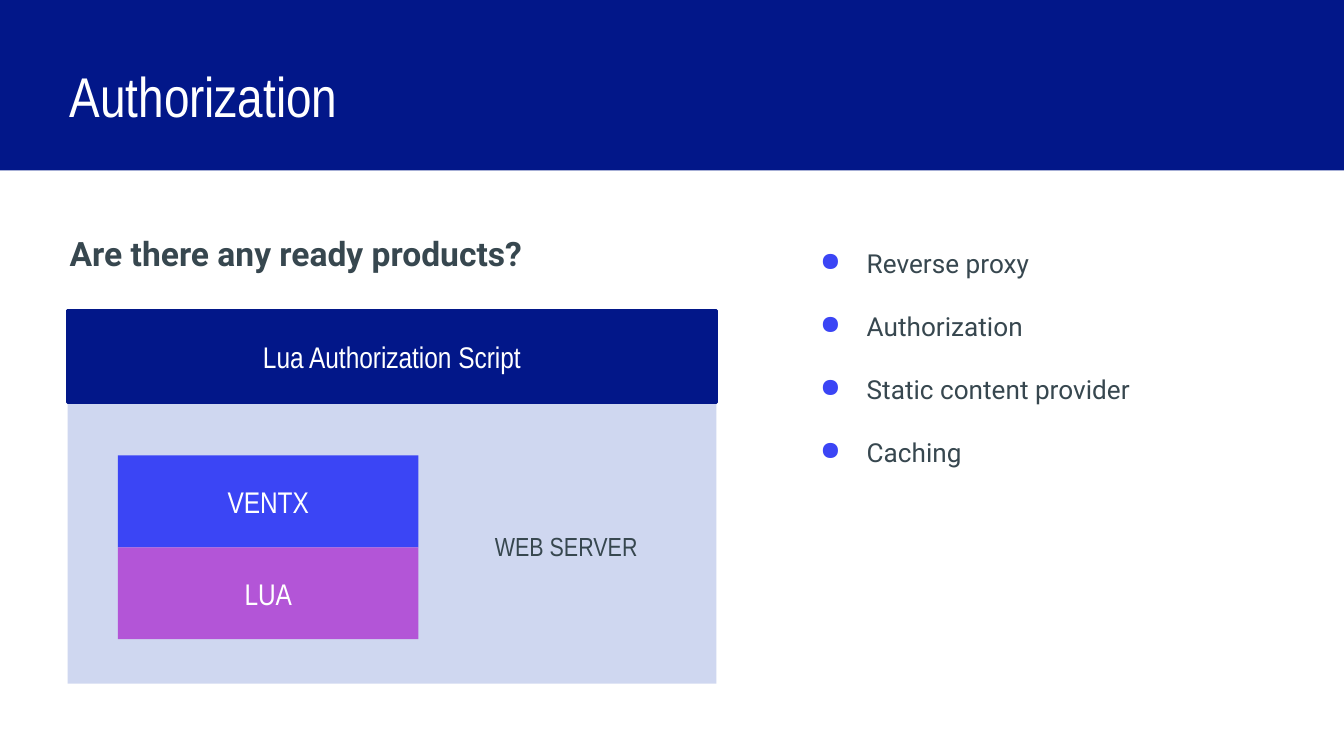
import pptx
import pptx.dml.color
import pptx.enum.shapes
import pptx.enum.text
import pptx.oxml
import pptx.oxml.ns
import pptx.util
from pptx.util import Pt

COLORS = {
    "navy": "021789",
    "white": "FFFFFF",
    "steel": "4361C6",
    "blue": "3B45F5",
    "purple": "B355D7",
    "text": "37474F",
}
NARROW = "Arial Narrow"
ROBOTO = "Roboto"
INSET = Pt(7.2)


def color(name):
    return pptx.dml.color.RGBColor.from_string(COLORS[name])


def prepare_frame(shape, anchor):
    frame = shape.text_frame
    frame.word_wrap = True
    frame.vertical_anchor = anchor
    frame.margin_left = frame.margin_right = INSET
    frame.margin_top = frame.margin_bottom = INSET
    return frame


def style(paragraph, font_name, size, color_name, bold=False):
    paragraph.font.name = font_name
    paragraph.font.size = Pt(size)
    paragraph.font.color.rgb = color(color_name)
    paragraph.font.bold = bold


def add_block(slide, left, top, width, height, fill, label=None, outline=None, opacity=None):
    """Add a filled rectangle, optionally translucent, outlined or labelled."""
    shape = slide.shapes.add_shape(
        pptx.enum.shapes.MSO_SHAPE.RECTANGLE, Pt(left), Pt(top), Pt(width), Pt(height))
    shape.shadow.inherit = False
    shape.fill.solid()
    shape.fill.fore_color.rgb = color(fill)
    if opacity is not None:
        rgb = shape.fill._xPr.find(".//" + pptx.oxml.ns.qn("a:srgbClr"))
        alpha = rgb.makeelement(pptx.oxml.ns.qn("a:alpha"), {"val": str(opacity * 1000)})
        rgb.append(alpha)
    if outline:
        shape.line.color.rgb = color(outline)
        shape.line.width = Pt(1.5)
    else:
        shape.line.fill.background()
    if label:
        frame = prepare_frame(shape, pptx.enum.text.MSO_ANCHOR.MIDDLE)
        paragraph = frame.paragraphs[0]
        paragraph.text = label
        paragraph.alignment = pptx.enum.text.PP_ALIGN.CENTER
        style(paragraph, NARROW, 16, "white")


def add_text(slide, left, top, width, height, text, font_name, size, color_name, bold=False):
    """Add a text box with one paragraph, and return the paragraph."""
    box = slide.shapes.add_textbox(Pt(left), Pt(top), Pt(width), Pt(height))
    frame = prepare_frame(box, pptx.enum.text.MSO_ANCHOR.TOP)
    paragraph = frame.paragraphs[0]
    paragraph.text = text
    style(paragraph, font_name, size, color_name, bold)
    return paragraph


def set_bullet(paragraph, color_name):
    properties = paragraph._p.get_or_add_pPr()
    properties.set("marL", str(Pt(36)))
    properties.set("indent", str(Pt(-25)))
    namespace = pptx.oxml.ns.nsdecls("a")
    bullet_color = pptx.oxml.parse_xml(
        f'<a:buClr {namespace}><a:srgbClr val="{COLORS[color_name]}"/></a:buClr>')
    bullet = pptx.oxml.parse_xml(f'<a:buChar {namespace} char="●"/>')
    # Bullet elements must come before the default run properties
    run_defaults = properties.find(pptx.oxml.ns.qn("a:defRPr"))
    run_defaults.addprevious(bullet_color)
    run_defaults.addprevious(bullet)


def add_bullets(slide, left, top, width, height, items):
    box = slide.shapes.add_textbox(Pt(left), Pt(top), Pt(width), Pt(height))
    frame = prepare_frame(box, pptx.enum.text.MSO_ANCHOR.TOP)
    for index, item in enumerate(items):
        paragraph = frame.add_paragraph() if index else frame.paragraphs[0]
        paragraph.text = item
        paragraph.space_before = Pt(17 if index else 0)
        style(paragraph, ROBOTO, 14, "text")
        set_bullet(paragraph, "blue")
    paragraph.space_after = Pt(17)


def main():
    presentation = pptx.Presentation()
    presentation.slide_width = Pt(720)
    presentation.slide_height = Pt(405)
    slide = presentation.slides.add_slide(presentation.slide_layouts[6])

    # Navy background with a white body
    slide.background.fill.solid()
    slide.background.fill.fore_color.rgb = color("navy")
    add_block(slide, 0, 91.25, 720, 313.75, "white")

    # Title and heading
    add_text(slide, 30.25, 26, 543, 45, "Authorization", NARROW, 30, "white")
    heading = add_text(slide, 30.25, 114.5, 485, 39, "Are there any ready products?",
                       ROBOTO, 18, "text", bold=True)
    heading.line_spacing = 1.15
    heading.space_after = Pt(16)

    # Platform with the script on top
    add_block(slide, 36.25, 216, 347.5, 150.25, "steel", opacity=25)
    add_block(slide, 36.25, 166.5, 347.5, 49.25, "navy", "Lua Authorization Script", outline="navy")
    platform = add_text(slide, 223, 277, 160.75, 22, "WEB SERVER", NARROW, 14, "text")
    platform.alignment = pptx.enum.text.PP_ALIGN.CENTER

    # Stacked components inside the platform
    component_height = 49.25
    for row, (label, fill) in enumerate([("VENTX", "blue"), ("LUA", "purple")]):
        add_block(slide, 63.25, 244 + row * component_height, 161, component_height, fill, label)

    # Features
    add_bullets(slide, 421.25, 125.25, 227, 131,
                ["Reverse proxy", "Authorization", "Static content provider", "Caching"])

    presentation.save("out.pptx")


if __name__ == "__main__":
    main()
